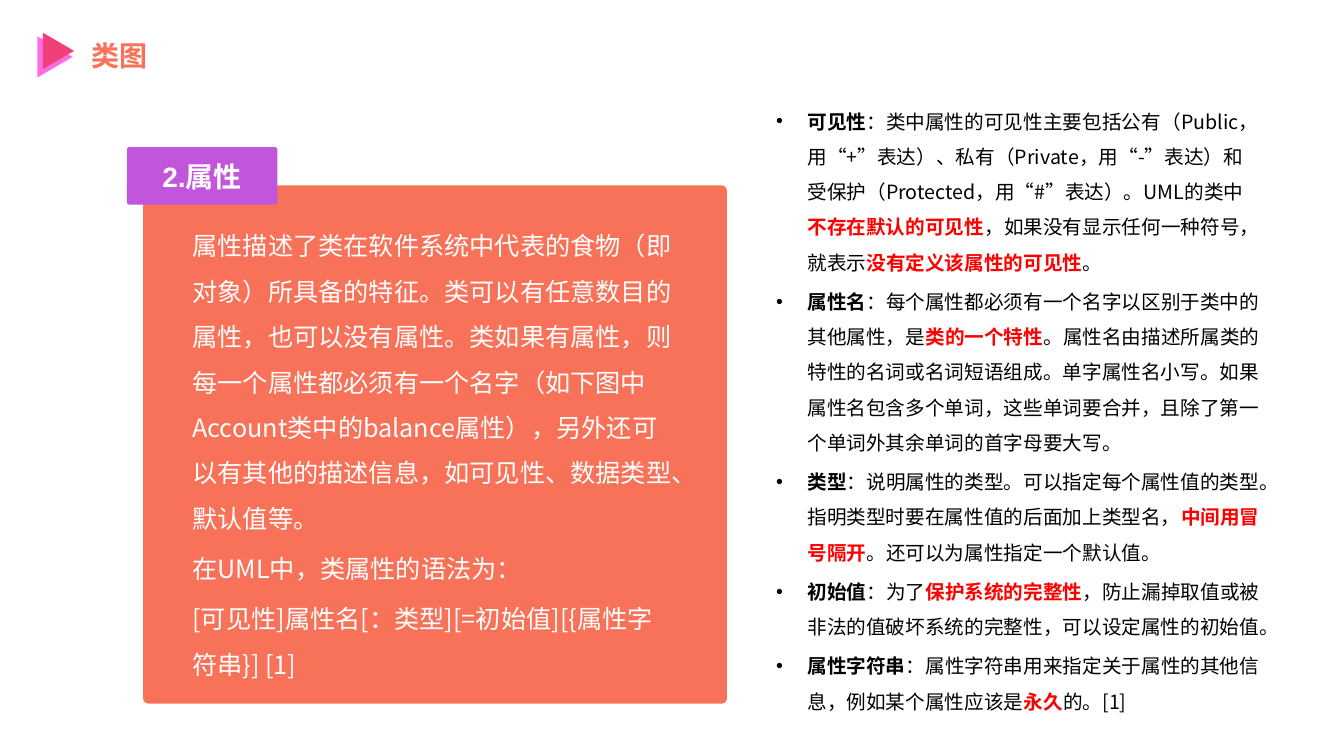
from lxml.etree import SubElement
from pptx import Presentation
from pptx.dml.color import RGBColor
from pptx.enum.shapes import MSO_SHAPE
from pptx.enum.text import MSO_ANCHOR, MSO_AUTO_SIZE, PP_ALIGN
from pptx.oxml.ns import qn
from pptx.util import Pt

PX = 9144
SANS = "Noto Sans CJK SC"
theme = {
    "fill": {"back": "FF6CE4", "front": "F04077", "panel": "F77258", "tag": "C155DC"},
    "title": ("F77258", {"name": SANS, "size": Pt(20), "bold": True}),
    "tag": ("FFFFFF", {"name": "Arial", "size": Pt(20), "bold": True}),
    "panel": ("FFFFFF", {"name": SANS, "size": Pt(18), "bold": False}),
    "term": ("000000", {"name": SANS, "size": Pt(14), "bold": True}),
    "body": ("000000", {"name": SANS, "size": Pt(14), "bold": False}),
    "key": ("FF0000", {"name": SANS, "size": Pt(14), "bold": True}),
}


def write(para, text, style):
    color, look = theme[style]
    run = para.add_run()
    run.text = text
    for name, value in look.items():
        setattr(run.font, name, value)
    run.font.color.rgb = RGBColor.from_string(color)
    SubElement(run.font._element, qn("a:ea")).set("typeface", SANS)


def space(para, index, size):
    before = Pt(size * 0.2) if index else Pt(0)
    for name, value in {"line_spacing": 1.5, "space_before": before}.items():
        setattr(para, name, value)


deck = Presentation()
deck.slide_width, deck.slide_height = 1333 * PX, 750 * PX
slide = deck.slides.add_slide(deck.slide_layouts[6])

shapes = {}
for name, kind, box, turn, round_by in [
    ("back", MSO_SHAPE.ISOSCELES_TRIANGLE, (34, 39, 41, 35), 90, None),
    ("front", MSO_SHAPE.ISOSCELES_TRIANGLE, (40, 35, 36, 31), 90, None),
    ("panel", MSO_SHAPE.ROUNDED_RECTANGLE, (142, 184, 579, 514), 0, 0.01),
    ("tag", MSO_SHAPE.ROUNDED_RECTANGLE, (126, 146, 149, 57), 0, 0.04),
]:
    shape = slide.shapes.add_shape(kind, *[n * PX for n in box])
    shape.rotation = turn
    shape.shadow.inherit = False
    shape.fill.solid()
    shape.fill.fore_color.rgb = RGBColor.from_string(theme["fill"][name])
    shape.line.fill.background()
    if round_by:
        shape.adjustments[0] = round_by
    shapes[name] = shape

frames = {}
for name, box in {
    "title": (81, 33, 285, 44),
    "panel": (181, 209, 501, 527),
    "notes": (760, 92, 501, 670),
}.items():
    frame = slide.shapes.add_textbox(*[n * PX for n in box]).text_frame
    for key, value in {"word_wrap": True, "auto_size": MSO_AUTO_SIZE.SHAPE_TO_FIT_TEXT}.items():
        setattr(frame, key, value)
    frames[name] = frame

write(frames["title"].paragraphs[0], "类图", "title")

label = shapes["tag"].text_frame
label.vertical_anchor = MSO_ANCHOR.MIDDLE
label.paragraphs[0].alignment = PP_ALIGN.CENTER
write(label.paragraphs[0], "2.属性", "tag")

intro = [
    "属性描述了类在软件系统中代表的食物（即对象）所具备的特征。类可以有任意数目的属性，也可以没有属性。"
    "类如果有属性，则每一个属性都必须有一个名字（如下图中Account类中的balance属性），"
    "另外还可以有其他的描述信息，如可见性、数据类型、默认值等。",
    "在UML中，类属性的语法为：",
    "[可见性]属性名[：类型][=初始值][{属性字符串}] [1]",
]
for i, text in enumerate(intro):
    para = frames["panel"].add_paragraph() if i else frames["panel"].paragraphs[0]
    space(para, i, 18)
    write(para, text, "panel")

notes = {
    "可见性": "：类中属性的可见性主要包括公有（Public，用“+”表达）、私有（Private，用“-”表达）"
    "和受保护（Protected，用“#”表达）。UML的类中*不存在默认的可见性*，"
    "如果没有显示任何一种符号，就表示*没有定义该属性的可见性*。",
    "属性名": "：每个属性都必须有一个名字以区别于类中的其他属性，是*类的一个特性*。"
    "属性名由描述所属类的特性的名词或名词短语组成。单字属性名小写。"
    "如果属性名包含多个单词，这些单词要合并，且除了第一个单词外其余单词的首字母要大写。",
    "类型": "：说明属性的类型。可以指定每个属性值的类型。指明类型时要在属性值的后面加上类型名，"
    "*中间用冒号隔开*。还可以为属性指定一个默认值。",
    "初始值": "：为了*保护系统的完整性*，防止漏掉取值或被非法的值破坏系统的完整性，可以设定属性的初始值。",
    "属性字符串": "：属性字符串用来指定关于属性的其他信息，例如某个属性应该是*永久*的。[1]",
}
for i, (term, text) in enumerate(notes.items()):
    para = frames["notes"].add_paragraph() if i else frames["notes"].paragraphs[0]
    props = para._p.get_or_add_pPr()
    for name, value in {"marL": 31, "indent": -31}.items():
        props.set(name, str(value * PX))
    SubElement(props, qn("a:buFont")).set("typeface", "Arial")
    SubElement(props, qn("a:buChar")).set("char", "•")
    space(para, i, 14)
    write(para, term, "term")
    for j, part in enumerate(text.split("*")):
        write(para, part, "key" if j % 2 else "body")

deck.save("out.pptx")
